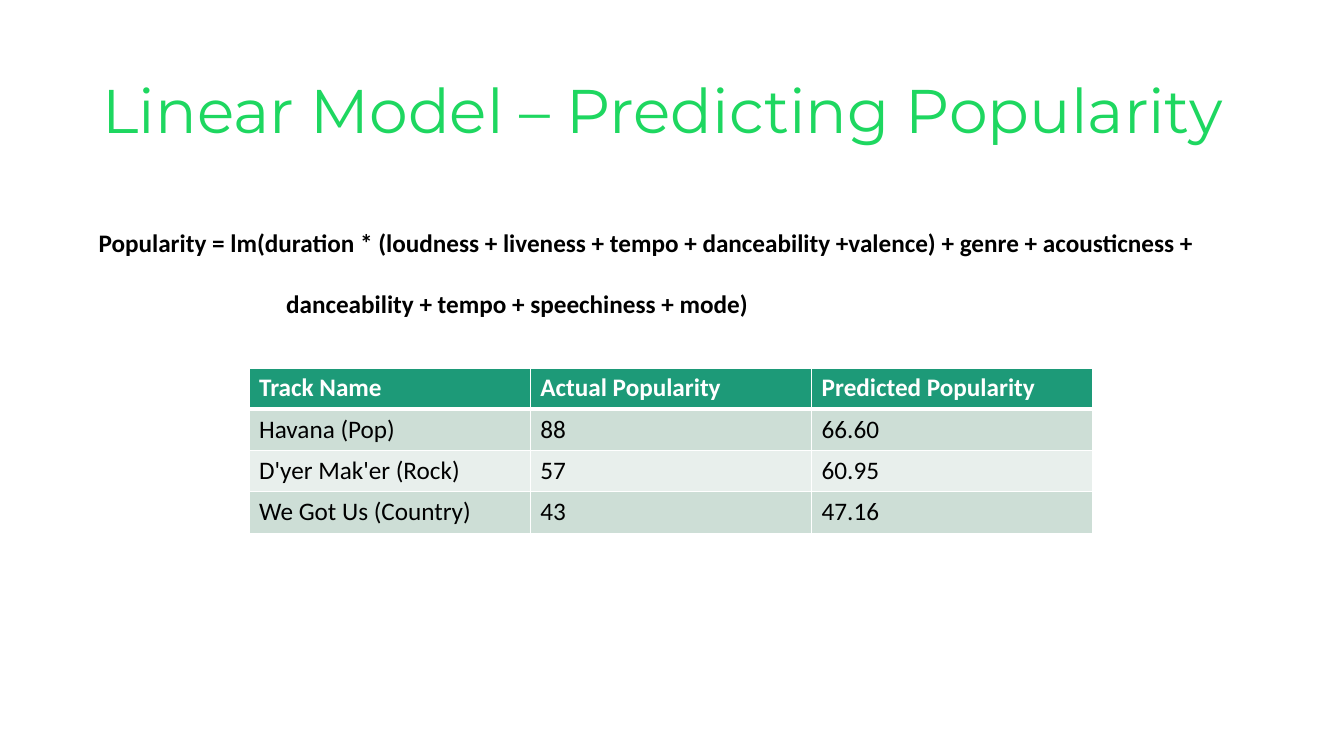
from typing import NamedTuple

from lxml.etree import SubElement
from pptx import Presentation
from pptx.dml.color import RGBColor
from pptx.enum.text import MSO_ANCHOR, MSO_AUTO_SIZE
from pptx.oxml.ns import qn
from pptx.slide import Slide
from pptx.table import _Cell as Cell
from pptx.text.text import TextFrame
from pptx.util import Inches, Pt

GREEN = RGBColor(0x1E, 0xD7, 0x60)
TEAL = RGBColor(0x1D, 0x9A, 0x78)
BAND_DARK = RGBColor(0xCD, 0xDE, 0xD6)
BAND_LIGHT = RGBColor(0xE8, 0xEF, 0xEC)
BLACK = RGBColor(0, 0, 0)
WHITE = RGBColor(0xFF, 0xFF, 0xFF)

FORMULA_LINES = (
    "Popularity = lm(duration * (loudness + liveness + tempo + danceability +valence)"
    " + genre + acousticness +",
    "danceability + tempo + speechiness + mode)",
)
HEADINGS = ("Track Name", "Actual Popularity", "Predicted Popularity")
COLUMN_WIDTH = Inches(2.79)
ROW_HEIGHT = Inches(0.41)


class Track(NamedTuple):
    name: str
    actual: str
    predicted: str


TRACKS = (
    Track("Havana (Pop)", "88", "66.60"),
    Track("D'yer Mak'er (Rock)", "57", "60.95"),
    Track("We Got Us (Country)", "43", "47.16"),
)


class RowStyle(NamedTuple):
    fill: RGBColor
    text: RGBColor
    bold: bool
    bottom_border: float


HEADER_STYLE = RowStyle(TEAL, WHITE, True, 3)
BAND_STYLES = (
    RowStyle(BAND_DARK, BLACK, False, 1),
    RowStyle(BAND_LIGHT, BLACK, False, 1),
)


def add_text_box(slide: Slide, left: float, top: float, width: float,
                 height: float) -> TextFrame:
    box = slide.shapes.add_textbox(
        Inches(left), Inches(top), Inches(width), Inches(height))
    box.text_frame.word_wrap = True
    return box.text_frame


def add_title(slide: Slide) -> None:
    frame = add_text_box(slide, 0.92, 0.4, 11.5, 1.45)
    frame.vertical_anchor = MSO_ANCHOR.MIDDLE
    paragraph = frame.paragraphs[0]
    paragraph.text = "Linear Model – Predicting Popularity"
    paragraph.line_spacing = 0.9
    paragraph.font.name = "Montserrat"
    paragraph.font.size = Pt(44)
    paragraph.font.color.rgb = GREEN


def add_formula(slide: Slide) -> None:
    frame = add_text_box(slide, 0.88, 2.21, 11.54, 0.71)
    frame.auto_size = MSO_AUTO_SIZE.SHAPE_TO_FIT_TEXT
    frame.text = "\n".join(FORMULA_LINES)
    for paragraph in frame.paragraphs:
        paragraph.font.name = "Calibri"
        paragraph.font.size = Pt(18)
        paragraph.font.bold = True
        paragraph.font.color.rgb = BLACK
    continuation = frame.paragraphs[1]
    continuation.space_before = Pt(22)
    continuation._p.get_or_add_pPr().set("marL", str(Inches(1.86)))


def add_borders(cell: Cell, bottom: float) -> None:
    properties = cell._tc.get_or_add_tcPr()
    for side, width in (("L", 1), ("R", 1), ("T", 1), ("B", bottom)):
        line = SubElement(properties, qn(f"a:ln{side}"), w=str(Pt(width)))
        fill = SubElement(line, qn("a:solidFill"))
        SubElement(fill, qn("a:srgbClr"), val=str(WHITE))


def style_cell(cell: Cell, text: str, style: RowStyle) -> None:
    add_borders(cell, style.bottom_border)
    cell.fill.solid()
    cell.fill.fore_color.rgb = style.fill
    paragraph = cell.text_frame.paragraphs[0]
    paragraph.text = text
    paragraph.font.name = "Calibri"
    paragraph.font.size = Pt(18)
    paragraph.font.bold = style.bold
    paragraph.font.color.rgb = style.text


def add_track_table(slide: Slide) -> None:
    rows = (HEADINGS, *TRACKS)
    table = slide.shapes.add_table(
        len(rows), len(HEADINGS), Inches(2.47), Inches(3.65),
        COLUMN_WIDTH * len(HEADINGS), ROW_HEIGHT * len(rows)).table
    table.horz_banding = False
    for column in table.columns:
        column.width = COLUMN_WIDTH
    for row_index, values in enumerate(rows):
        table.rows[row_index].height = ROW_HEIGHT
        style = BAND_STYLES[(row_index - 1) % 2] if row_index else HEADER_STYLE
        for column_index, text in enumerate(values):
            style_cell(table.cell(row_index, column_index), text, style)


def main() -> None:
    presentation = Presentation()
    presentation.slide_width = Inches(13.33)
    presentation.slide_height = Inches(7.5)
    slide = presentation.slides.add_slide(presentation.slide_layouts[6])
    add_title(slide)
    add_track_table(slide)
    add_formula(slide)
    presentation.save("out.pptx")


if __name__ == "__main__":
    main()
